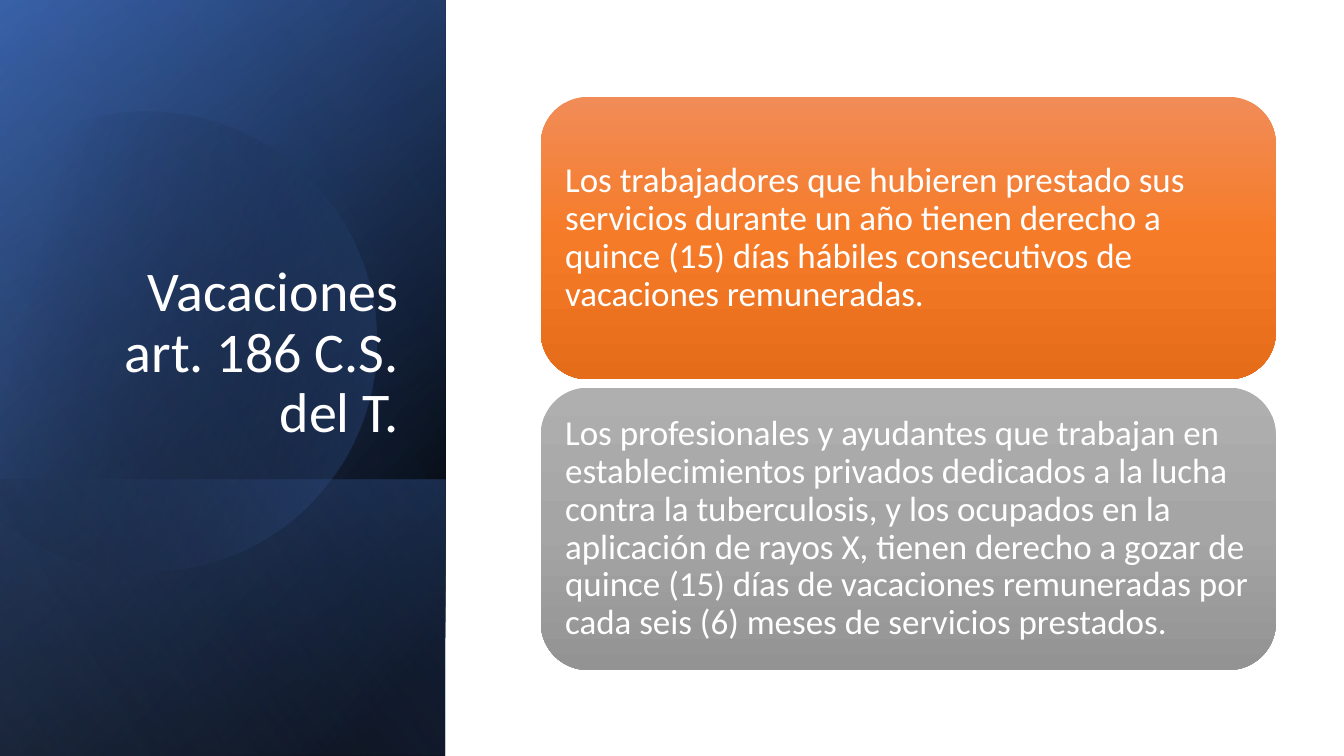
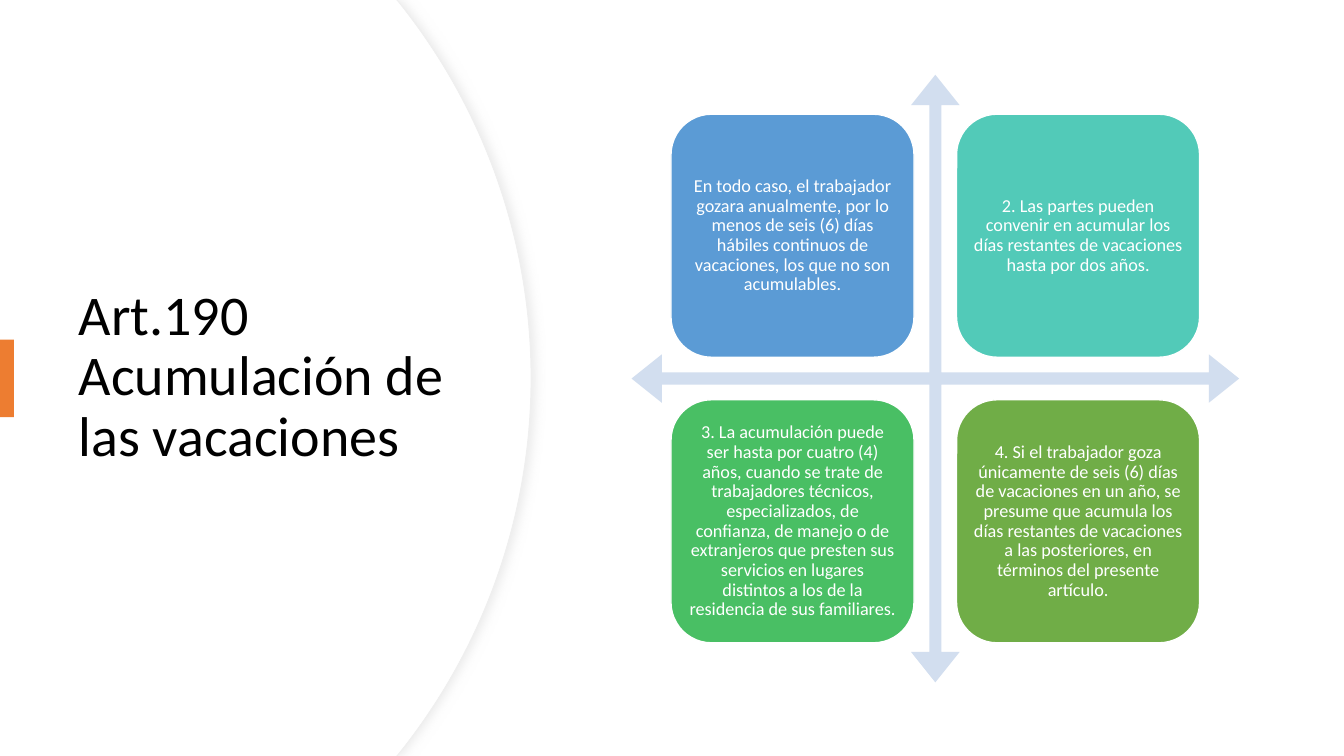
from math import asin, cos, degrees, radians, sin, tan

from lxml.etree import SubElement
from pptx import Presentation
from pptx.dml.color import RGBColor
from pptx.enum.shapes import MSO_SHAPE as Kind
from pptx.enum.text import MSO_ANCHOR as Anchor, PP_ALIGN as Align
from pptx.oxml.ns import qn
from pptx.util import Pt

WIDE, HIGH = 960, 540
FONT = "Calibri"
WHITE, BLACK, BLUE, ORANGE = "FFFFFF", "000000", "4472C4", "ED7D31"
TITLE = {"size": 40, "pad": (7.2, 3.6)}


def color(code):
    return RGBColor.from_string(code)


def tint(parent, code, alpha=100):
    """Append a colour with its opacity in percent."""
    node = SubElement(parent, qn("a:srgbClr"), val=code)
    if alpha < 100:
        SubElement(node, qn("a:alpha"), val=str(alpha * 1000))


def fade(shape, angle, stops):
    """Fill with a linear gradient; stops are (percent, colour[, opacity])."""
    props = shape._element.spPr
    grad = SubElement(props, qn("a:gradFill"), rotWithShape="1")
    props.insert(2, grad)
    group = SubElement(grad, qn("a:gsLst"))
    for place, *paint in stops:
        tint(SubElement(group, qn("a:gs"), pos=str(place * 1000)), *paint)
    SubElement(grad, qn("a:lin"), ang=str(angle * 60000), scaled="0")


def style(shape, fill=None, line=None, width=1):
    shape.shadow.inherit = False
    if isinstance(fill, str):
        shape.fill.solid()
        shape.fill.fore_color.rgb = color(fill)
    elif fill:
        fade(shape, *fill)
    if line:
        shape.line.color.rgb = color(line)
        shape.line.width = Pt(width)
    else:
        shape.line.fill.background()
    return shape


def block(slide, kind, box, *look):
    return style(slide.shapes.add_shape(kind, *map(Pt, box)), *look)


def arc(x, y, radius, turns):
    """Start, then three Bezier points for each step between the angles."""
    def spot(turn, pull=0):
        c, s = cos(radians(turn)), sin(radians(turn))
        return x + radius * (c - pull * s), y + radius * (s + pull * c)

    points = [spot(turns[0])]
    for a, b in zip(turns, turns[1:]):
        pull = 4 / 3 * tan(radians(b - a) / 4)
        points += [spot(a, pull), spot(b, -pull), spot(b)]
    return points


def outline(slide, curve, corners, *look):
    """Draw a closed outline: Bezier points first, then straight corners."""
    start, *rest = [(Pt(x), Pt(y)) for x, y in curve + corners]
    form = slide.shapes.build_freeform(*start, scale=1.0)
    form.add_line_segments(rest, close=True)
    shape = form.convert_to_shape()
    track = next(shape._element.iter(qn("a:path")))
    lines = track.findall(qn("a:lnTo"))
    for i in range(0, len(curve) - 1, 3):
        bend = SubElement(track, qn("a:cubicBezTo"))
        lines[i].addprevious(bend)
        for line in lines[i:i + 3]:
            bend.append(line[0])
            track.remove(line)
    return style(shape, *look)


def write(shape, words, size, ink, pad, align=Align.LEFT, anchor=Anchor.MIDDLE):
    frame = shape.text_frame
    side, edge = map(Pt, pad)
    look = {"word_wrap": True, "vertical_anchor": anchor,
            "margin_left": side, "margin_right": side,
            "margin_top": edge, "margin_bottom": edge}
    para = frame.paragraphs[0]
    run = para.add_run()
    run.text = words
    sets = ((frame, look),
            (para, {"alignment": align, "line_spacing": 0.9}),
            (run.font, {"name": FONT, "size": Pt(size)}))
    for item, values in sets:
        for name, value in values.items():
            setattr(item, name, value)
    run.font.color.rgb = color(ink)


def title(slide, box, words, ink, **place):
    write(slide.shapes.add_textbox(*map(Pt, box)), words, ink=ink, **TITLE, **place)


def card(slide, box, words, size, align, *look):
    shape = block(slide, Kind.ROUNDED_RECTANGLE, box, *look)
    write(shape, words, size, WHITE, (0.3 * size,) * 2, align)


def panel(slide, box):
    """Dark side band made of layered gradients."""
    left, top, wide, high = box
    low = 197.3
    foot = (left, top + high - low, wide, low)
    layers = [
        (box, 220, [(8, BLACK), (100, "2F5597")]),
        (box, 240, [(0, BLACK, 0), (99, BLUE, 46)]),
        (foot, 140, [(2, BLUE, 29), (100, BLACK, 30)]),
    ]
    for area, *fill in layers:
        block(slide, Kind.RECTANGLE, area, fill)
    curve = arc(left + 103.9, top + 241.2, 164.2, (-118.5, -90, 0, 90, 150.6))
    disc = outline(slide, curve, [], (30, [(29, BLACK, 0), (100, BLUE, 43)]))
    disc.rotation = 343.9
    block(slide, Kind.RECTANGLE, box, (150, [(0, BLACK, 0), (99, "8FAADC", 11)]))


def stack(slide, box, items, gap=6):
    left, top, wide, high = box
    tall = (high - gap * (len(items) - 1)) / len(items)
    for i, (words, shades) in enumerate(items):
        area = (left, top + i * (tall + gap), wide, tall)
        fill = (90, list(zip((0, 50, 100), shades)))
        card(slide, area, words, 25, Align.LEFT, fill)


def dome(slide, box):
    """White area with a curved right edge and a soft shadow."""
    left, top, wide, high = box
    radius = 428.4
    reach = degrees(asin(high / 2 / radius))
    corners = [(left, top + high), (left, top)]
    for edge, line in ((wide, "EFEFEF"), (wide - 0.7, None)):
        curve = arc(left + edge - radius, top + high / 2, radius, (-reach, 0, reach))
        shape = outline(slide, curve, corners, WHITE, line, 0.75)
        if line:
            effects = shape._element.spPr.find(qn("a:effectLst"))
            shade = SubElement(effects, qn("a:outerShdw"), blurRad=str(Pt(7)),
                               dist=str(Pt(3)), dir="0", algn="l", rotWithShape="0")
            tint(shade, "D9D9D9", 50)


def matrix(slide, box, items):
    """Four cards around a crossed arrow."""
    left, top, side, _ = box
    cross = block(slide, Kind.QUAD_ARROW, box, "D2DEEF")
    for i, value in enumerate((0.02, 0.04, 0.05)):
        cross.adjustments[i] = value
    size, start, pitch = 0.4 * side, 0.065 * side, 0.47 * side
    for i, (words, fill) in enumerate(items):
        row, col = divmod(i, 2)
        area = (left + start + col * pitch, top + start + row * pitch, size, size)
        card(slide, area, words, 13, Align.CENTER, fill, WHITE)


def leave(slide):
    panel(slide, (0, 0, 318.2, HIGH))
    title(slide, (46, 132.8, 245.5, 188.6), "Vacaciones art. 186 C.S. del T.",
          WHITE, align=Align.RIGHT, anchor=Anchor.BOTTOM)
    stack(slide, (386.3, 69.2, 525, 409.4), [
        ("Los trabajadores que hubieren prestado sus servicios durante un año "
         "tienen derecho a quince (15) días hábiles consecutivos de vacaciones "
         "remuneradas.", ("F18C57", "F67B28", "E56C19")),
        ("Los profesionales y ayudantes que trabajan en establecimientos privados "
         "dedicados a la lucha contra la tuberculosis, y los ocupados en la "
         "aplicación de rayos X, tienen derecho a gozar de quince (15) días de "
         "vacaciones remuneradas por cada seis (6) meses de servicios prestados.",
         ("AFAFAF", "A5A5A5", "939393")),
    ])


def accrual(slide):
    dome(slide, (0, 0, 379.4, HIGH))
    title(slide, (49.2, 91.5, 283.5, 356.5),
          "Art.190 Acumulación de las vacaciones", BLACK)
    block(slide, Kind.RECTANGLE, (0, 242.7, 10, 55.4), ORANGE)
    matrix(slide, (451.1, 53.4, 434, 434), [
        ("En todo caso, el trabajador gozara anualmente, por lo menos de seis (6) "
         "días hábiles continuos de vacaciones, los que no son acumulables.",
         "5B9BD5"),
        ("2. Las partes pueden convenir en acumular los días restantes de "
         "vacaciones hasta por dos años.", "52CAB8"),
        ("3. La acumulación puede ser hasta por cuatro (4) años, cuando se trate "
         "de trabajadores técnicos, especializados, de confianza, de manejo o de "
         "extranjeros que presten sus servicios en lugares distintos a los de la "
         "residencia de sus familiares.", "49BF64"),
        ("4. Si el trabajador goza únicamente de seis (6) días de vacaciones en un "
         "año, se presume que acumula los días restantes de vacaciones a las "
         "posteriores, en términos del presente artículo.", "70AD47"),
    ])


def main():
    deck = Presentation()
    deck.slide_width, deck.slide_height = Pt(WIDE), Pt(HIGH)
    for fill in (leave, accrual):
        fill(deck.slides.add_slide(deck.slide_layouts[6]))
    deck.save("out.pptx")


if __name__ == "__main__":
    main()
